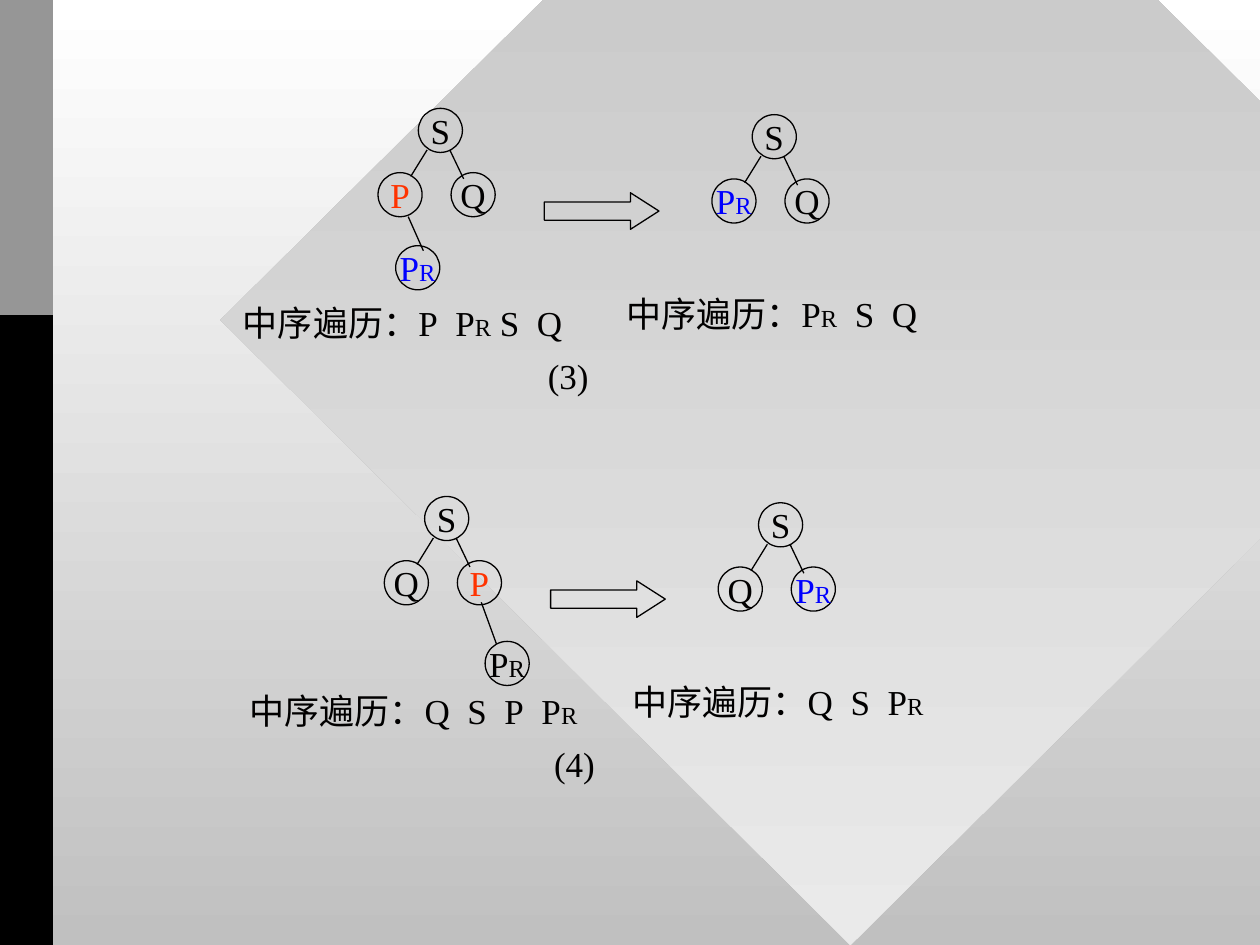
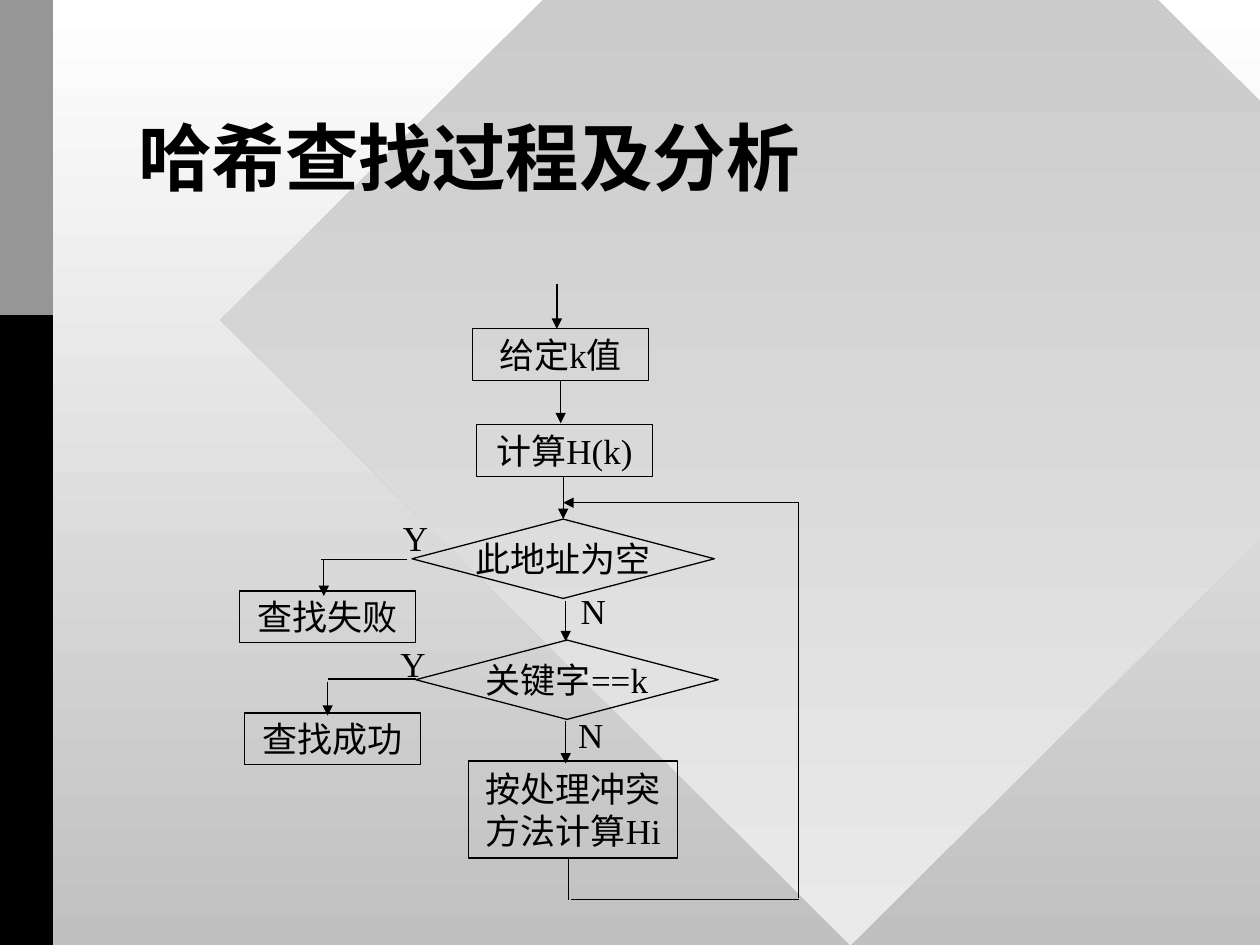
from dataclasses import dataclass

import pptx
import pptx.dml.color
import pptx.enum.shapes
import pptx.enum.text
import pptx.oxml
import pptx.oxml.ns
import pptx.presentation
import pptx.slide
import pptx.util
from pptx.util import Inches

KIND = pptx.enum.shapes.MSO_SHAPE
ALIGN = pptx.enum.text.PP_ALIGN
ANCHOR = pptx.enum.text.MSO_ANCHOR
FIT = pptx.enum.text.MSO_AUTO_SIZE

GAP = chr(0x2002)  # en space, as wide as two plain spaces


@dataclass(frozen=True)
class Theme:
    ink: str = "010000"
    red: str = "FF3300"
    blue: str = "0000FF"
    black: str = "000000"
    grey: str = "969696"
    page: tuple[str, str] = ("FFFFFF", "C0C0C0")
    gem: tuple[str, str] = ("C0C0C0", "EAEAEA")
    font: str = "Times New Roman"
    head: str = "Lato"
    title: float = 42
    body: float = 20
    small: float = 14
    line: float = 0.75


THEME = Theme()


@dataclass(frozen=True)
class Box:
    left: float
    top: float
    width: float
    height: float

    def lengths(self) -> list[int]:
        return [Inches(n) for n in (self.left, self.top, self.width, self.height)]


@dataclass(frozen=True)
class Link:
    x1: float
    y1: float
    x2: float
    y2: float
    arrow: bool = False


@dataclass(frozen=True)
class Node:
    text: str
    color: str = THEME.ink


@dataclass(frozen=True)
class Child:
    node: Node
    left: float
    top: float
    edge: Link


@dataclass(frozen=True)
class Case:
    """One deletion: the tree before, its child, and the tree after."""
    label: str
    before: tuple[Node, Node, Node]
    child: Child
    after: tuple[Node, Node, Node]
    orders: tuple[str, str]
    width: float


@dataclass(frozen=True)
class Step:
    kind: KIND
    text: str
    box: Box


# Drawing helpers

def rgb(code: str) -> pptx.dml.color.RGBColor:
    return pptx.dml.color.RGBColor.from_string(code)


def blend(fill, colors: tuple[str, str]) -> None:
    fill.gradient()
    fill.gradient_angle = 270
    for stop, code in zip(fill.gradient_stops, colors):
        stop.color.rgb = rgb(code)


def write(shape, text: str, color: str = THEME.ink, size: float = THEME.body,
          font: str = THEME.font, bold: bool = False, align=ALIGN.CENTER,
          anchor=ANCHOR.MIDDLE, wrap: bool = False, grow: bool = False) -> None:
    """Fill a shape with text; the letter R is set small."""
    frame = shape.text_frame
    frame.auto_size = FIT.SHAPE_TO_FIT_TEXT if grow else FIT.NONE
    frame.word_wrap = wrap
    frame.vertical_anchor = anchor
    for i, row in enumerate(text.split("\n")):
        para = frame.add_paragraph() if i else frame.paragraphs[0]
        para.alignment = align
        for part in row.partition("R"):
            if not part:
                continue
            run = para.add_run()
            run.text = part
            run.font.name = font
            run.font.size = pptx.util.Pt(THEME.small if part == "R" else size)
            run.font.bold = bold
            run.font.color.rgb = rgb(color)


def outline(slide: pptx.slide.Slide, kind: KIND, box: Box):
    shape = slide.shapes.add_shape(kind, *box.lengths())
    shape.shadow.inherit = False
    shape.fill.background()
    shape.line.color.rgb = rgb(THEME.ink)
    shape.line.width = pptx.util.Pt(THEME.line)
    return shape


def label(slide: pptx.slide.Slide, text: str, box: Box, **style):
    shape = slide.shapes.add_textbox(*box.lengths())
    write(shape, text, **style)
    return shape


def join(slide: pptx.slide.Slide, link: Link, dx: float = 0, dy: float = 0) -> None:
    ends = (link.x1 + dx, link.y1 + dy, link.x2 + dx, link.y2 + dy)
    line = slide.shapes.add_connector(
        pptx.enum.shapes.MSO_CONNECTOR.STRAIGHT, *(Inches(n) for n in ends))
    line.line.color.rgb = rgb(THEME.ink)
    line.line.width = pptx.util.Pt(THEME.line)
    props = line.element.spPr
    if link.arrow:
        stroke = props.find(pptx.oxml.ns.qn("a:ln"))
        tip = pptx.oxml.parse_xml(
            f'<a:tailEnd {pptx.oxml.ns.nsdecls("a")} type="triangle"/>')
        stroke.append(tip)
    props.append(pptx.oxml.parse_xml(
        f'<a:effectLst {pptx.oxml.ns.nsdecls("a")}/>'))


# Shared backdrop

def start(deck: pptx.presentation.Presentation) -> pptx.slide.Slide:
    slide = deck.slides.add_slide(deck.slide_layouts[6])
    gem = outline(slide, KIND.DIAMOND, Box(1.75, -2.42, 10, 9.92))
    gem.line.fill.background()
    blend(gem.fill, THEME.gem)
    for height, color in ((7.5, THEME.black), (2.5, THEME.grey)):
        band = outline(slide, KIND.RECTANGLE, Box(0, 0, 0.42, height))
        band.line.fill.background()
        band.fill.solid()
        band.fill.fore_color.rgb = rgb(color)
    return slide


# Slide 1: deleting a tree node

S, Q = Node("S"), Node("Q")
P = Node("P", THEME.red)
HEIR = Node("PR", THEME.blue)
DISC = 0.35
SPOTS = ((0.32, 0), (0, 0.51), (0.58, 0.51))
EDGES = (Link(0.39, 0.33, 0.26, 0.54), Link(0.57, 0.33, 0.68, 0.56))
CASES = (
    Case("(3)", (S, P, Q),
         Child(HEIR, 0.14, 1.09, Link(0.24, 0.86, 0.36, 1.13)), (S, HEIR, Q),
         (f"P{GAP}PR S{GAP}Q", f"PR{GAP}S{GAP}Q"), 2.82),
    Case("(4)", (S, Q, P),
         Child(Node("PR"), 0.8, 1.15, Link(0.77, 0.84, 0.89, 1.17)), (S, Q, HEIR),
         (f"Q{GAP}S{GAP}P{GAP}PR", f"Q{GAP}S{GAP}PR"), 2.89),
)


def disc(slide: pptx.slide.Slide, node: Node, x: float, y: float) -> None:
    shape = outline(slide, KIND.OVAL, Box(x, y, DISC, DISC))
    write(shape, node.text, node.color)


def tree(slide: pptx.slide.Slide, nodes: tuple[Node, Node, Node],
         x: float, y: float) -> None:
    for node, (dx, dy) in zip(nodes, SPOTS):
        disc(slide, node, x + dx, y + dy)
    for edge in EDGES:
        join(slide, edge, x, y)


def show(slide: pptx.slide.Slide, case: Case, x: float, y: float) -> None:
    """Draw one case with its first tree at x, y."""
    tree(slide, case.before, x, y)
    child = case.child
    disc(slide, child.node, x + child.left, y + child.top)
    join(slide, child.edge, x, y)
    tree(slide, case.after, x + 2.65, y + 0.05)
    arrow = outline(slide, KIND.RIGHT_ARROW, Box(x + 1.32, y + 0.67, 0.91, 0.29))
    arrow.adjustments[1] = 0.78
    spots = (Box(x - 1.17, y + 1.48, case.width, 0.44),
             Box(x + 1.87, y + 1.41, 2.62, 0.44))
    for order, box in zip(case.orders, spots):
        label(slide, f"中序遍历：{order}", box, align=ALIGN.LEFT, grow=True)
    label(slide, case.label, Box(x + 1.21, y + 1.9, 0.6, 0.44), grow=True)


def trees(deck: pptx.presentation.Presentation) -> None:
    slide = start(deck)
    for i, case in enumerate(CASES):
        show(slide, case, 3 + 0.05 * i, 0.86 + 3.08 * i)


# Slide 2: hash search flow

def task(text: str, x: float, y: float, width: float = 1.4,
         height: float = 0.41) -> Step:
    return Step(KIND.FLOWCHART_PROCESS, text, Box(x, y, width, height))


def test(text: str, x: float, y: float) -> Step:
    return Step(KIND.FLOWCHART_DECISION, text, Box(x, y, 2.4, 0.63))


STEPS = (
    task("给定k值", 3.75, 2.61),
    task("计算H(k)", 3.78, 3.37),
    test("此地址为空", 3.27, 4.12),
    test("关键字==k", 3.3, 5.08),
    task("查找失败", 1.9, 4.69),
    task("查找成功", 1.94, 5.66),
    task("按处理冲突\n方法计算Hi", 3.72, 6.04, 1.66, 0.77),
)
DROPS = ((4.42, 2.25, 2.61), (4.45, 3.02, 3.36), (4.47, 3.78, 4.12),
         (4.49, 4.77, 5.09), (4.49, 5.72, 6.06),
         (2.57, 4.44, 4.73), (2.6, 5.41, 5.68))
TURNS = (
    Link(3.23, 4.44, 2.55, 4.44),
    Link(3.3, 5.39, 2.6, 5.39),
    Link(4.51, 6.81, 4.51, 7.14),
    Link(4.53, 7.14, 6.34, 7.14),
    Link(6.34, 7.13, 6.34, 3.99),
    Link(6.34, 3.99, 4.47, 3.99, True),
)
SIGNS = (("Y", 3.1, 4.05), ("N", 4.51, 4.63), ("Y", 3.08, 5.05), ("N", 4.49, 5.61))


def flow(deck: pptx.presentation.Presentation) -> None:
    slide = start(deck)
    title = label(slide, "哈希查找过程及分析", Box(1, 0.67, 8, 1.25),
                  size=THEME.title, font=THEME.head, bold=True,
                  align=ALIGN.LEFT, wrap=True)
    title.text_frame.paragraphs[0].line_spacing = 0.85
    for step in STEPS:
        write(outline(slide, step.kind, step.box), step.text)
    for x, top, end in DROPS:
        join(slide, Link(x, top, x, end, True))
    for turn in TURNS:
        join(slide, turn)
    for text, x, y in SIGNS:
        label(slide, text, Box(x, y, 0.4, 0.44), align=ALIGN.LEFT,
              anchor=ANCHOR.TOP, grow=True)


def main() -> None:
    deck = pptx.Presentation()
    deck.slide_width, deck.slide_height = Inches(10), Inches(7.5)
    blend(deck.slide_master.background.fill, THEME.page)
    trees(deck)
    flow(deck)
    deck.save("out.pptx")


if __name__ == "__main__":
    main()
